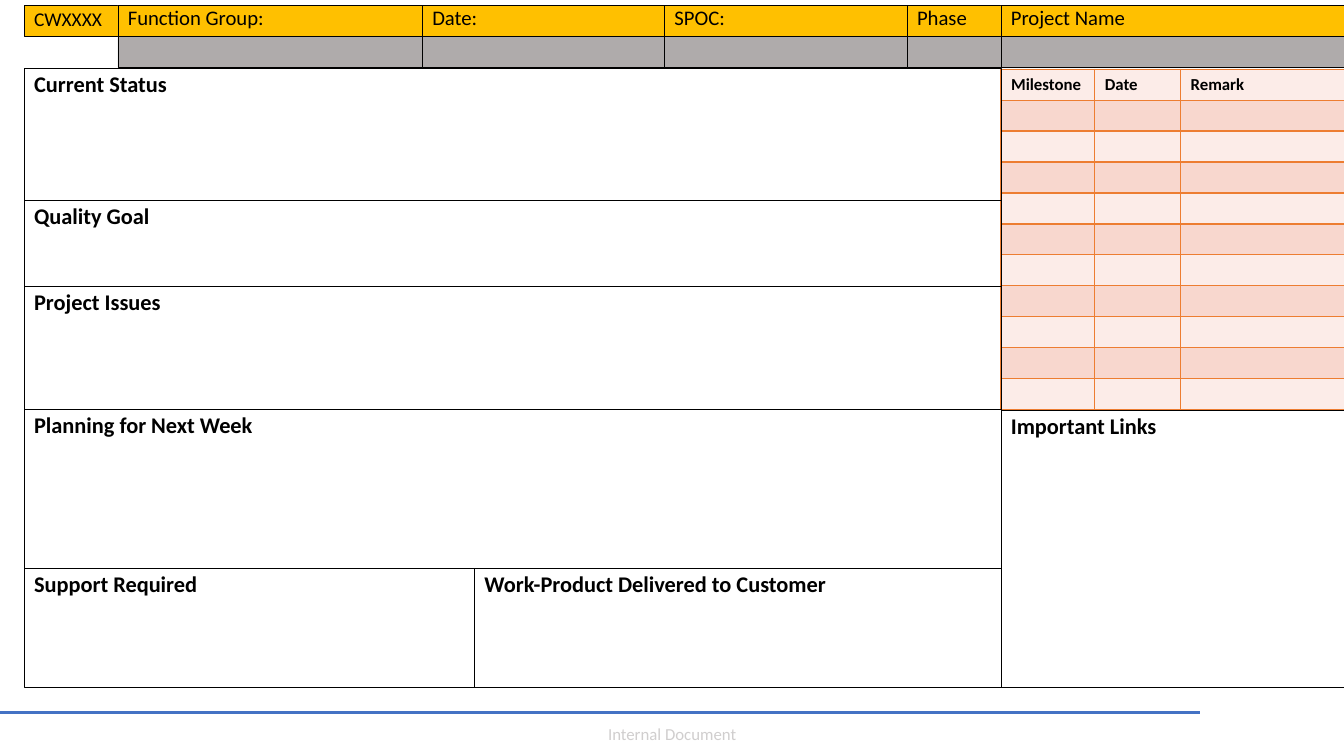
import lxml.etree
import pptx
import pptx.util
import pptx.dml.color
import pptx.enum.shapes
import pptx.enum.text
import pptx.oxml.ns

Pt = pptx.util.Pt
qn = pptx.oxml.ns.qn

THEME = {
    "font": "Calibri",
    "ink": "000000", "header": "FFC000", "blank": "AFABAB",
    "rule": "4472C4", "footer": "D0CECE",
    "grid": "ED7D31", "bands": ("FCECE8", "F8D7CE"),
    "panel_size": 16, "header_size": 14.8, "week_size": 13.9, "small_size": 12,
}

# Slide content
HEADERS = ["CWXXXX", "Function Group:", "Date:", "SPOC:", "Phase", "Project Name"]
PANELS = ["Current Status", "Quality Goal", "Project Issues", "Planning for Next Week"]
BOTTOM_PANELS = ["Support Required", "Work-Product Delivered to Customer"]
LINKS = "Important Links"
MILESTONE_HEADS = ["Milestone", "Date", "Remark"]
MILESTONE_ROWS = 11
FOOTER = "Internal Document"

# Column edges, panel edges and other measures, in points
COLUMN_EDGES = [17.3, 84.2, 301.7, 474.7, 648, 715, 960.3]
PANEL_EDGES = [48.5, 142.7, 204.4, 292.4, 406.2, 491]
BOTTOM_EDGES = [COLUMN_EDGES[0], 339, COLUMN_EDGES[5]]
HEADER_TOP, HEADER_HEIGHT = 3.6, 22.4
MILESTONE_TOP, MILESTONE_ROW_HEIGHT = 49.4, 22.13
MILESTONE_WIDTHS = [67, 61.3, 117]
LINKS_TOP = 293


def rgb(code):
    return pptx.dml.color.RGBColor.from_string(code)


def add_span(para, text, size, color=THEME["ink"], bold=False):
    span = para.add_run()
    span.text = text
    span.font.name = THEME["font"]
    span.font.size = Pt(size)
    span.font.bold = bold
    span.font.color.rgb = rgb(color)


def add_box(page, left, top, right, bottom, fill=None, text=None,
            size=THEME["panel_size"], bold=False, spacing=0.9):
    box = page.shapes.add_shape(
        pptx.enum.shapes.MSO_SHAPE.RECTANGLE,
        Pt(left), Pt(top), Pt(right - left), Pt(bottom - top))
    box.shadow.inherit = False
    box.line.color.rgb = rgb(THEME["ink"])
    box.line.width = Pt(0.25)
    if fill:
        box.fill.solid()
        box.fill.fore_color.rgb = rgb(fill)
    else:
        box.fill.background()
    if text:
        box.text_frame.word_wrap = True
        box.text_frame.vertical_anchor = pptx.enum.text.MSO_ANCHOR.TOP
        para = box.text_frame.paragraphs[0]
        para.alignment = pptx.enum.text.PP_ALIGN.LEFT
        para.line_spacing = spacing
        add_span(para, text, size, bold=bold)


def add_header_row(page):
    top, bottom = HEADER_TOP, HEADER_TOP + HEADER_HEIGHT
    for index, text in enumerate(HEADERS):
        size, spacing = (THEME["header_size"], 0.8) if index else (THEME["week_size"], 0.9)
        add_box(page, COLUMN_EDGES[index], top, COLUMN_EDGES[index + 1], bottom,
                THEME["header"], text, size, spacing=spacing)


def add_blank_row(page):
    top = HEADER_TOP + HEADER_HEIGHT
    for left, right in zip(COLUMN_EDGES[1:], COLUMN_EDGES[2:]):
        add_box(page, left, top, right, top + HEADER_HEIGHT, THEME["blank"])


def add_panels(page):
    left, right = COLUMN_EDGES[0], COLUMN_EDGES[5]
    for text, top, bottom in zip(PANELS, PANEL_EDGES, PANEL_EDGES[1:]):
        add_box(page, left, top, right, bottom, text=text, bold=True)
    for text, start, end in zip(BOTTOM_PANELS, BOTTOM_EDGES, BOTTOM_EDGES[1:]):
        add_box(page, start, PANEL_EDGES[-2], end, PANEL_EDGES[-1], text=text, bold=True)
    add_box(page, right, LINKS_TOP, COLUMN_EDGES[6], PANEL_EDGES[-1], text=LINKS, bold=True)


def style_cell(cell, fill):
    # Borders come before the fill in the cell properties.
    properties = cell._tc.get_or_add_tcPr()
    for side in ("a:lnL", "a:lnR", "a:lnT", "a:lnB"):
        border = lxml.etree.SubElement(properties, qn(side), w=str(Pt(1)))
        paint = lxml.etree.SubElement(border, qn("a:solidFill"))
        lxml.etree.SubElement(paint, qn("a:srgbClr"), val=THEME["grid"])
    cell.fill.solid()
    cell.fill.fore_color.rgb = rgb(fill)


def add_milestones(page):
    table = page.shapes.add_table(
        MILESTONE_ROWS, len(MILESTONE_HEADS), Pt(COLUMN_EDGES[5]), Pt(MILESTONE_TOP),
        Pt(sum(MILESTONE_WIDTHS)), Pt(MILESTONE_ROWS * MILESTONE_ROW_HEIGHT)).table
    table.first_row = table.horz_banding = False
    for column, width in zip(table.columns, MILESTONE_WIDTHS):
        column.width = Pt(width)
    for index, row in enumerate(table.rows):
        row.height = Pt(MILESTONE_ROW_HEIGHT)
        for cell, head in zip(row.cells, MILESTONE_HEADS):
            style_cell(cell, THEME["bands"][index % 2])
            para = cell.text_frame.paragraphs[0]
            if index == 0:
                add_span(para, head, THEME["small_size"], bold=True)
            else:
                # The end mark sets the height of an empty cell.
                lxml.etree.SubElement(para._p, qn("a:endParaRPr"),
                                      sz=str(THEME["small_size"] * 100))


def add_footer(page):
    rule = page.shapes.add_connector(
        pptx.enum.shapes.MSO_CONNECTOR.STRAIGHT, Pt(0), Pt(509), Pt(857), Pt(509))
    rule.line.color.rgb = rgb(THEME["rule"])
    rule.line.width = Pt(2)
    lxml.etree.SubElement(rule._element.spPr, qn("a:effectLst"))
    box = page.shapes.add_textbox(Pt(347), Pt(513.4), Pt(266.4), Pt(21.8))
    box.text_frame.word_wrap = True
    para = box.text_frame.paragraphs[0]
    para.alignment = pptx.enum.text.PP_ALIGN.CENTER
    add_span(para, FOOTER, THEME["small_size"], THEME["footer"])


def main():
    deck = pptx.Presentation()
    deck.slide_width, deck.slide_height = Pt(960), Pt(540)
    page = deck.slides.add_slide(deck.slide_layouts[6])
    add_footer(page)
    add_blank_row(page)
    add_milestones(page)
    add_panels(page)
    add_header_row(page)
    deck.save("out.pptx")


if __name__ == "__main__":
    main()
